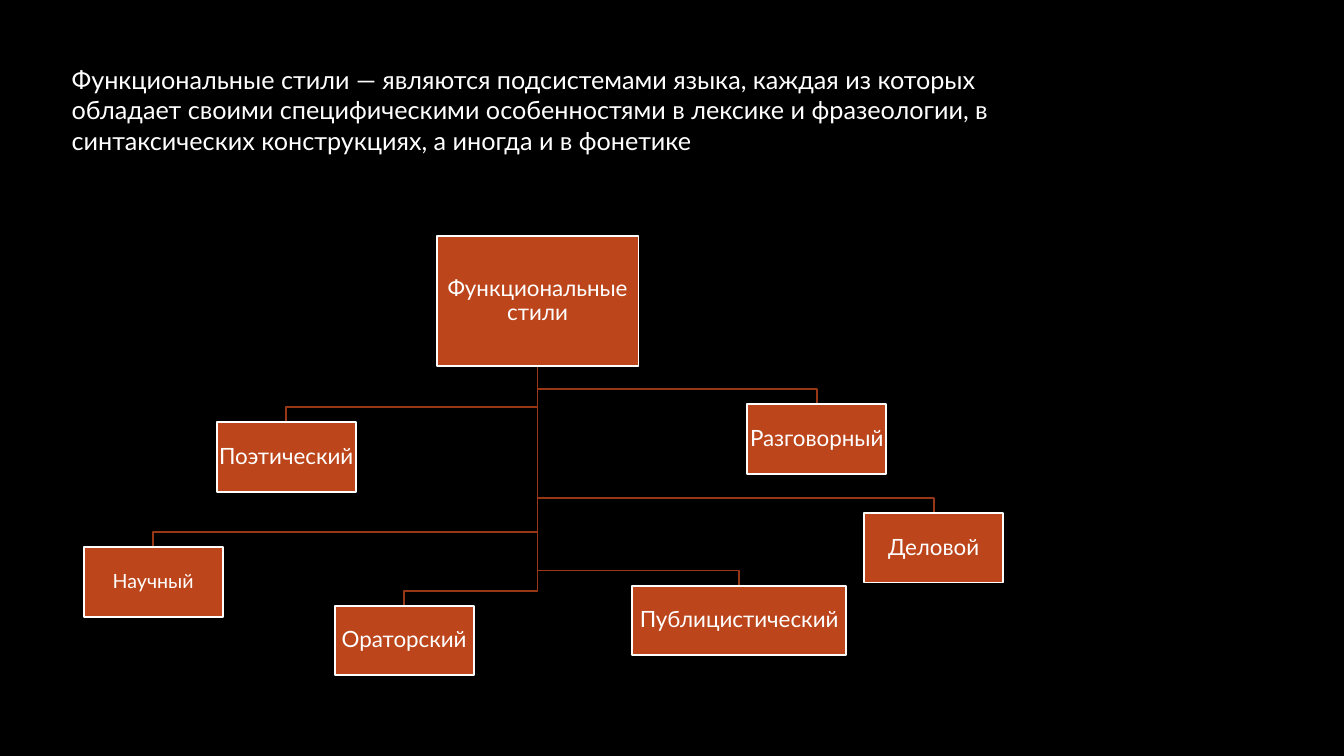
from dataclasses import dataclass

from pptx import Presentation
from pptx.dml.color import RGBColor
from pptx.enum.shapes import MSO_SHAPE
from pptx.enum.text import MSO_ANCHOR, MSO_AUTO_SIZE, PP_ALIGN
from pptx.util import Inches, Pt


@dataclass(frozen=True)
class Theme:
    font: str = "Lato"
    background: RGBColor = RGBColor(0x00, 0x00, 0x00)
    text: RGBColor = RGBColor(0xFF, 0xFF, 0xFF)
    box: RGBColor = RGBColor(0xBC, 0x45, 0x1B)
    branch: RGBColor = RGBColor(0x97, 0x37, 0x16)
    title_size: int = 18
    box_size: int = 16
    small_size: int = 14
    line_width: float = 1.25


THEME = Theme()
SLIDE_W, SLIDE_H = Inches(13.33), Inches(7.5)
COLUMNS, ROWS = 40, 30

TITLE = (
    "Функциональные стили — являются подсистемами языка, каждая из которых "
    "обладает своими специфическими особенностями в лексике и фразеологии, "
    "в синтаксических конструкциях, а иногда и в фонетике"
)

# Root box: middle column, top row, width and height
ROOT_X, ROOT_Y, ROOT_W, ROOT_H = 16, 9.36, 6, 5.16
STYLE_W, WIDE_W, STYLE_H = 4.14, 6.36, 2.76
BEND = 0.6  # rows between a branch's horizontal run and its box

# Label, middle column, top row, width, type size
STYLES = [
    ("Научный", 4.56, 21.72, STYLE_W, THEME.small_size),
    ("Поэтический", 8.52, 16.76, STYLE_W, THEME.box_size),
    ("Ораторский", 12.03, 24.04, STYLE_W, THEME.box_size),
    ("Публицистический", 22, 23.24, WIDE_W, THEME.box_size),
    ("Разговорный", 24.31, 16.04, STYLE_W, THEME.box_size),
    ("Деловой", 27.79, 20.36, STYLE_W, THEME.box_size),
]


def col(n):
    return round(SLIDE_W * n / COLUMNS)


def row(n):
    return round(SLIDE_H * n / ROWS)


def add_text(p, text, size):
    r = p.add_run()
    r.text = text
    r.font.name = THEME.font
    r.font.size = Pt(size)
    r.font.color.rgb = THEME.text


def set_line(sp, color):
    sp.shadow.inherit = False
    sp.line.color.rgb = color
    sp.line.width = Pt(THEME.line_width)


def add_title(s, text):
    sp = s.shapes.title
    sp.left, sp.top, sp.width, sp.height = col(1.83), row(2.36), col(29.59), row(4.04)
    tf = sp.text_frame
    tf.word_wrap = True
    tf.auto_size = MSO_AUTO_SIZE.NONE
    tf.vertical_anchor = MSO_ANCHOR.TOP
    p = tf.paragraphs[0]
    p.alignment = PP_ALIGN.LEFT
    add_text(p, text, THEME.title_size)


def add_branch(s, x, y):
    """Elbow from the bottom of the root box to the top of a style box."""
    start = ROOT_Y + ROOT_H
    builder = s.shapes.build_freeform(col(ROOT_X), row(start))
    corners = [(ROOT_X, y - BEND), (x, y - BEND), (x, y)]
    builder.add_line_segments([(col(cx), row(cy)) for cx, cy in corners], close=False)
    sp = builder.convert_to_shape()
    sp.fill.background()
    set_line(sp, THEME.branch)


def add_box(s, text, x, y, w, h, size):
    sp = s.shapes.add_shape(
        MSO_SHAPE.RECTANGLE, col(x - w / 2), row(y), col(w), row(h)
    )
    sp.fill.solid()
    sp.fill.fore_color.rgb = THEME.box
    set_line(sp, THEME.text)
    tf = sp.text_frame
    tf.word_wrap = True
    tf.vertical_anchor = MSO_ANCHOR.MIDDLE
    tf.margin_left = tf.margin_right = tf.margin_top = tf.margin_bottom = Inches(0.01)
    p = tf.paragraphs[0]
    p.alignment = PP_ALIGN.CENTER
    p.line_spacing = 0.9
    add_text(p, text, size)


def main():
    prs = Presentation()
    prs.slide_width, prs.slide_height = SLIDE_W, SLIDE_H
    s = prs.slides.add_slide(prs.slide_layouts[5])
    s.background.fill.solid()
    s.background.fill.fore_color.rgb = THEME.background

    # Definition
    add_title(s, TITLE)

    # Branches lie behind the boxes
    for _, x, y, _, _ in STYLES:
        add_branch(s, x, y)

    # Root and style boxes
    add_box(s, "Функциональные стили", ROOT_X, ROOT_Y, ROOT_W, ROOT_H, THEME.box_size)
    for label, x, y, w, size in STYLES:
        add_box(s, label, x, y, w, STYLE_H, size)

    prs.save("out.pptx")


if __name__ == "__main__":
    main()
